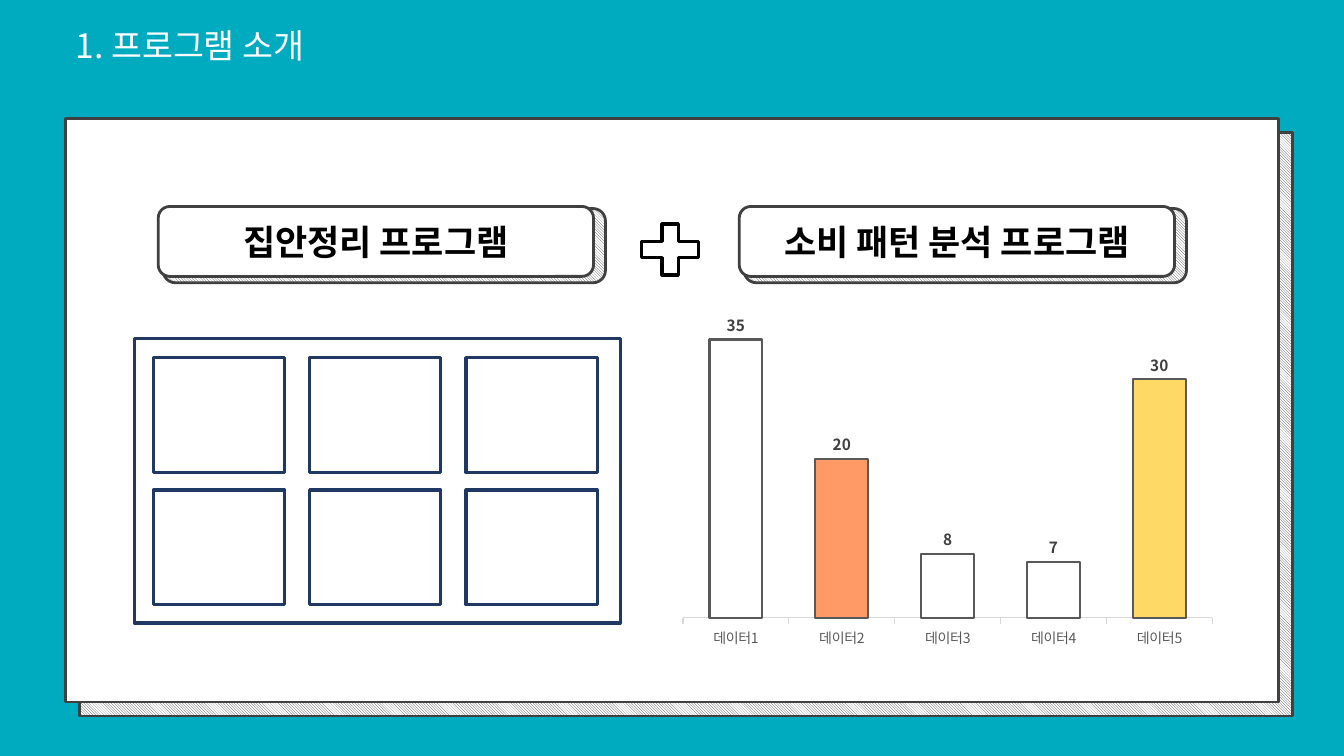
from lxml import etree
from pptx import Presentation
from pptx.chart.data import CategoryChartData
from pptx.dml.color import RGBColor
from pptx.enum.chart import XL_CHART_TYPE, XL_LABEL_POSITION, XL_TICK_LABEL_POSITION, XL_TICK_MARK
from pptx.enum.dml import MSO_PATTERN
from pptx.enum.shapes import MSO_SHAPE
from pptx.enum.text import MSO_ANCHOR, PP_ALIGN
from pptx.oxml import parse_xml
from pptx.oxml.ns import nsdecls, qn
from pptx.util import Pt

TITLE = "1. 프로그램 소개"
BUTTONS = [("집안정리 프로그램", 113), ("소비 패턴 분석 프로그램", 528)]
VALUES = [35, 20, 8, 7, 30]
CATS = [f"데이터{n}" for n in range(1, len(VALUES) + 1)]

FONT = "Noto Sans CJK KR"
TEAL = RGBColor(0x00, 0xAB, 0xBF)
WHITE = RGBColor(0xFF, 0xFF, 0xFF)
BLACK = RGBColor(0x00, 0x00, 0x00)
DARK = RGBColor(0x40, 0x40, 0x40)
GREY = RGBColor(0x59, 0x59, 0x59)
PALE = RGBColor(0xD9, 0xD9, 0xD9)
NAVY = RGBColor(0x20, 0x38, 0x64)
ORANGE = RGBColor(0xFF, 0x99, 0x66)
YELLOW = RGBColor(0xFF, 0xD9, 0x66)
BAR_FILLS = [WHITE, ORANGE, WHITE, WHITE, YELLOW]

RECT = MSO_SHAPE.RECTANGLE
ROUND = MSO_SHAPE.ROUNDED_RECTANGLE
PLUS = MSO_SHAPE.MATH_PLUS
HATCH = MSO_PATTERN.DARK_DOWNWARD_DIAGONAL

# Plot area as shares of the chart frame
PLOT = {"x": 0.02, "y": 0.02, "w": 0.96, "h": 0.88}


def style(font, size, color, bold=False):
    font.name, font.size, font.bold = FONT, Pt(size), bold
    font.color.rgb = color


def write(frame, text, size, color, bold=False):
    par = frame.paragraphs[0]
    par.text = text
    style(par.font, size, color, bold)
    props = par._p.pPr.find(qn("a:defRPr"))
    etree.SubElement(props, qn("a:ea")).set("typeface", FONT)
    return par


def draw(shapes, kind, box, color, width, fill=None):
    shape = shapes.add_shape(kind, *map(Pt, box))
    shape.shadow.inherit = False
    shape.line.color.rgb = color
    shape.line.width = Pt(width)
    if fill is None:
        shape.fill.background()
    else:
        shape.fill.solid()
        shape.fill.fore_color.rgb = fill
    return shape


def plate(shapes, kind, front, back):
    """Draw a white panel over a hatched one and return the white one."""
    hatch = draw(shapes, kind, back, DARK, 2).fill
    hatch.patterned()
    hatch.pattern = HATCH
    hatch.fore_color.rgb = DARK
    hatch.back_color.rgb = WHITE
    return draw(shapes, kind, front, DARK, 2, WHITE)


def add_bars(shapes):
    data = CategoryChartData()
    data.categories = CATS
    data.add_series("Series 1", VALUES)
    chart = shapes.add_chart(XL_CHART_TYPE.COLUMN_CLUSTERED,
                             *map(Pt, (480, 209, 394, 258)), data).chart
    chart.has_legend = chart.has_title = False
    style(chart.font, 10, BLACK)

    value = chart.value_axis
    value.minimum_scale, value.maximum_scale = 0, 40
    value.has_major_gridlines = False
    value.tick_label_position = XL_TICK_LABEL_POSITION.NONE
    value.visible = False

    cat = chart.category_axis
    cat.major_tick_mark = XL_TICK_MARK.OUTSIDE
    cat.format.line.color.rgb = PALE
    cat.format.line.width = Pt(0.75)
    style(cat.tick_labels.font, 10, GREY)

    plot = chart.plots[0]
    plot.gap_width = 100
    plot.vary_by_categories = False
    series = plot.series[0]
    for i, fill in enumerate(BAR_FILLS):
        bar = series.points[i].format
        bar.fill.solid()
        bar.fill.fore_color.rgb = fill
        bar.line.color.rgb = GREY
        bar.line.width = Pt(1.5)
    labels = series.data_labels
    labels.show_value = True
    labels.position = XL_LABEL_POSITION.OUTSIDE_END
    style(labels.font, 11, DARK, True)

    area = chart._chartSpace.chart.plotArea
    for old in area.findall(qn("c:layout")):
        area.remove(old)
    modes = "".join(f'<c:{k}Mode val="edge"/>' for k in "xy")
    sizes = "".join(f'<c:{k} val="{v}"/>' for k, v in PLOT.items())
    area.insert(0, parse_xml(
        f'<c:layout {nsdecls("c")}><c:manualLayout><c:layoutTarget val="inner"/>'
        f'{modes}{sizes}</c:manualLayout></c:layout>'))


def main():
    deck = Presentation()
    deck.slide_width, deck.slide_height = Pt(960), Pt(540)
    slide = deck.slides.add_slide(deck.slide_layouts[6])
    slide.background.fill.solid()
    slide.background.fill.fore_color.rgb = TEAL
    shapes = slide.shapes

    plate(shapes, RECT, (47, 84.5, 866, 417), (57, 94.5, 866, 417))
    add_bars(shapes)

    draw(shapes, RECT, (96, 242, 347, 203), NAVY, 2.25)
    for row in range(2):
        for col in range(3):
            box = (109.5 + 111.7 * col, 255.5 + 94.5 * row, 93.75, 82)
            draw(shapes, RECT, box, NAVY, 2.25)

    for text, x in BUTTONS:
        button = plate(shapes, ROUND, (x, 147.5, 311, 50), (x + 3.5, 149, 316, 53))
        frame = button.text_frame
        frame.vertical_anchor = MSO_ANCHOR.MIDDLE
        write(frame, text, 25, BLACK, True).alignment = PP_ALIGN.CENTER

    draw(shapes, PLUS, (451, 153.5, 55.5, 49.5), BLACK, 2.25)

    title = shapes.add_textbox(*map(Pt, (47, 0, 434, 46))).text_frame
    title.word_wrap = True
    write(title, TITLE, 24, WHITE).line_spacing = 1.5

    deck.save("out.pptx")


if __name__ == "__main__":
    main()
